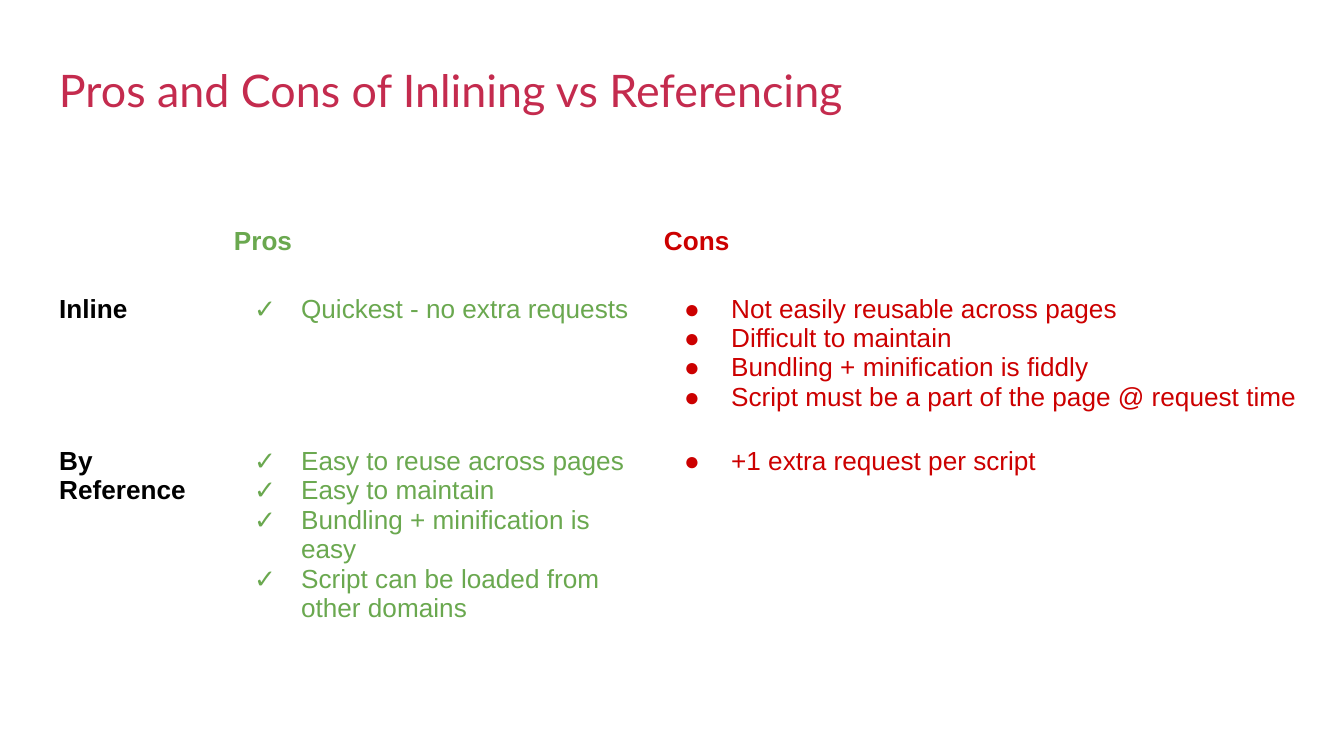
from dataclasses import dataclass

from lxml import etree
from pptx import Presentation
from pptx.dml.color import RGBColor
from pptx.oxml.ns import qn
from pptx.util import Inches, Pt


@dataclass(frozen=True)
class Theme:
    title_color: str = "C42B4E"
    label_color: str = "000000"
    pros_color: str = "6AA84F"
    cons_color: str = "CC0000"
    title_font: str = "Lato"
    body_font: str = "Arial"
    title_size: int = 24
    body_size: int = 14
    inset: float = 0.1


THEME = Theme()
BLANK_LAYOUT = 6
COLUMN_WIDTHS = (1.3, 3.2, 5)
ROW_HEIGHTS = (0.43, 0.43, 0.42)
PROS_BULLET, CONS_BULLET = "✓", "●"

# Each row: label, pros, cons
COMPARISON = (
    (
        "Inline",
        ("Quickest - no extra requests",),
        (
            "Not easily reusable across pages",
            "Difficult to maintain",
            "Bundling + minification is fiddly",
            "Script must be a part of the page @ request time",
        ),
    ),
    (
        "By Reference",
        (
            "Easy to reuse across pages",
            "Easy to maintain",
            "Bundling + minification is easy",
            "Script can be loaded from other domains",
        ),
        ("+1 extra request per script",),
    ),
)


def set_insets(holder):
    holder.margin_left = holder.margin_right = Inches(THEME.inset)
    holder.margin_top = holder.margin_bottom = Inches(THEME.inset)


def add_text(paragraph, text, color, size=THEME.body_size, font=THEME.body_font, bold=False):
    run = paragraph.add_run()
    run.text = text
    run.font.size = Pt(size)
    run.font.name = font
    run.font.bold = bold
    run.font.color.rgb = RGBColor.from_string(color)


def set_bullet(paragraph, character, color):
    properties = paragraph._p.get_or_add_pPr()
    properties.set("marL", str(Inches(0.5)))
    properties.set("indent", str(Inches(-0.35)))
    bullet_color = etree.SubElement(properties, qn("a:buClr"))
    etree.SubElement(bullet_color, qn("a:srgbClr"), val=color)
    etree.SubElement(properties, qn("a:buSzPts"), val=str(THEME.body_size * 100))
    etree.SubElement(properties, qn("a:buFont"), typeface=THEME.body_font)
    etree.SubElement(properties, qn("a:buChar"), char=character)


def set_empty_cell_font(cell):
    end = etree.SubElement(cell.text_frame.paragraphs[0]._p, qn("a:endParaRPr"))
    etree.SubElement(end, qn("a:latin"), typeface=THEME.body_font)


def fill_heading(cell, text, color):
    add_text(cell.text_frame.paragraphs[0], text, color, bold=True)


def fill_list(cell, items, bullet, color):
    frame = cell.text_frame
    for index, item in enumerate(items):
        paragraph = frame.add_paragraph() if index else frame.paragraphs[0]
        set_bullet(paragraph, bullet, color)
        add_text(paragraph, item, color)


def add_title(slide, left, top, width, height):
    box = slide.shapes.add_textbox(Inches(left), Inches(top), Inches(width), Inches(height))
    frame = box.text_frame
    frame.word_wrap = True
    set_insets(frame)
    add_text(frame.paragraphs[0], "Pros and Cons of Inlining vs Referencing",
             THEME.title_color, THEME.title_size, THEME.title_font)


def add_comparison(slide, left, top):
    table = slide.shapes.add_table(
        len(ROW_HEIGHTS), len(COLUMN_WIDTHS), Inches(left), Inches(top),
        Inches(sum(COLUMN_WIDTHS)), Inches(sum(ROW_HEIGHTS))).table
    table.first_row = table.horz_banding = False
    for column, width in zip(table.columns, COLUMN_WIDTHS):
        column.width = Inches(width)
    for row, height in zip(table.rows, ROW_HEIGHTS):
        row.height = Inches(height)
    for cell in table.iter_cells():
        cell.fill.background()
        set_insets(cell)

    # Column headings
    set_empty_cell_font(table.cell(0, 0))
    fill_heading(table.cell(0, 1), "Pros", THEME.pros_color)
    fill_heading(table.cell(0, 2), "Cons", THEME.cons_color)

    # Labelled rows
    for row, (label, pros, cons) in enumerate(COMPARISON, start=1):
        fill_heading(table.cell(row, 0), label, THEME.label_color)
        fill_list(table.cell(row, 1), pros, PROS_BULLET, THEME.pros_color)
        fill_list(table.cell(row, 2), cons, CONS_BULLET, THEME.cons_color)


def main():
    presentation = Presentation()
    # Widescreen, 16:9
    presentation.slide_width = Inches(10)
    presentation.slide_height = Inches(10 * 9 / 16)
    slide = presentation.slides.add_slide(presentation.slide_layouts[BLANK_LAYOUT])
    add_title(slide, 0.34, 0.37, 8.41, 0.66)
    add_comparison(slide, 0.34, 1.59)
    presentation.save("out.pptx")


if __name__ == "__main__":
    main()
